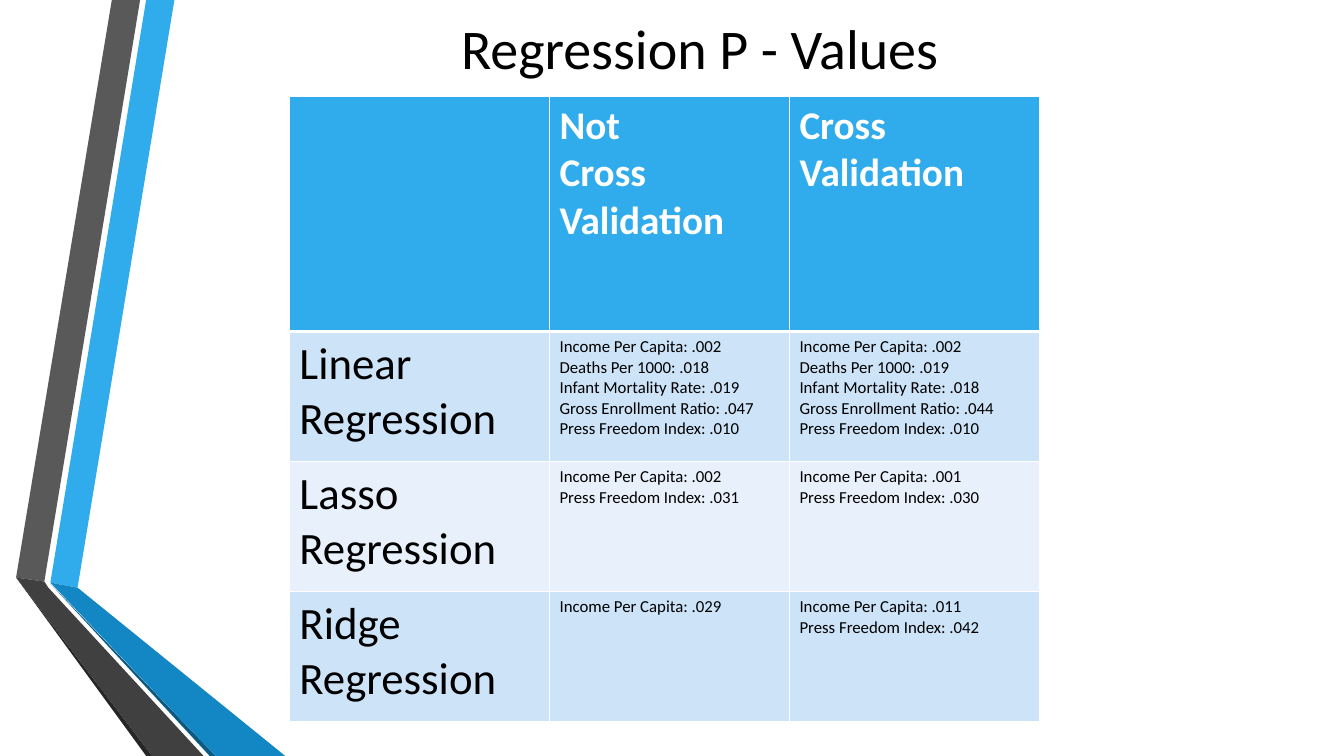
from dataclasses import dataclass

from lxml import etree
from pptx import Presentation
from pptx.dml.color import RGBColor
from pptx.enum import text
from pptx.oxml import ns
from pptx.util import Inches, Pt


@dataclass(frozen=True)
class Theme:
    font: str = "Calibri"
    white: str = "FFFFFF"
    black: str = "000000"
    blue: str = "30ACEC"
    deep: str = "1287C3"
    navy: str = "0C5A82"
    gray: str = "595959"
    dark: str = "404040"
    coal: str = "262626"
    bands: tuple = ("CDE3F8", "E8F1FB")
    title: int = 40
    head: int = 28
    label: int = 32
    body: int = 12


THEME = Theme()

RIBBONS = [
    (THEME.blue, [(0.5, 5.78), (0.77, 5.83), (1.73, 0), (1.45, 0)]),
    (THEME.gray, [(1.39, 0), (1.11, 0), (0.16, 5.73), (0.44, 5.77)]),
    (THEME.coal, [(0.16, 5.73), (1.45, 7.5), (1.51, 7.5)]),
    (THEME.navy, [(0.5, 5.79), (2.08, 7.5), (2.14, 7.5)]),
    (THEME.deep, [(0.5, 5.78), (2.14, 7.5), (2.83, 7.5), (0.77, 5.83)]),
    (THEME.dark, [(2.02, 7.5), (0.48, 5.83), (0.44, 5.77), (0.16, 5.73), (1.51, 7.5)]),
]

HEADS = [[], ["Not", "Cross Validation"], ["Cross", "Validation"]]

MODELS = [
    ("Linear Regression",
     ["Income Per Capita: .002", "Deaths Per 1000: .018",
      "Infant Mortality Rate: .019", "Gross Enrollment Ratio: .047",
      "Press Freedom Index: .010"],
     ["Income Per Capita: .002", "Deaths Per 1000: .019",
      "Infant Mortality Rate: .018", "Gross Enrollment Ratio: .044",
      "Press Freedom Index: .010"]),
    ("Lasso Regression",
     ["Income Per Capita: .002", "Press Freedom Index: .031"],
     ["Income Per Capita: .001", "Press Freedom Index: .030"]),
    ("Ridge Regression",
     ["Income Per Capita: .029"],
     ["Income Per Capita: .011", "Press Freedom Index: .042"]),
]


def write(frame, lines, size, color=THEME.black, bold=False, align=text.PP_ALIGN.LEFT):
    frame.word_wrap = True
    for i, line in enumerate(lines):
        para = frame.paragraphs[0] if i == 0 else frame.add_paragraph()
        para.alignment = align
        run = para.add_run()
        run.text = line
        run.font.name = THEME.font
        run.font.size = Pt(size)
        run.font.bold = bold
        run.font.color.rgb = RGBColor.from_string(color)


def add_ribbon(slide, color, points):
    start, *rest = [(Inches(x), Inches(y)) for x, y in points]
    pen = slide.shapes.build_freeform(*start)
    pen.add_line_segments(rest, close=True)
    shape = pen.convert_to_shape()
    shape.shadow.inherit = False
    shape.fill.solid()
    shape.fill.fore_color.rgb = RGBColor.from_string(color)
    shape.line.fill.background()


def add_title(slide, title):
    box = slide.shapes.add_textbox(Inches(1.46), Inches(-0.49), Inches(10.96), Inches(1.92))
    box.text_frame.vertical_anchor = text.MSO_ANCHOR.MIDDLE
    write(box.text_frame, [title], THEME.title, align=text.PP_ALIGN.CENTER)


def add_edge(cell, side, width):
    line = etree.SubElement(cell._tc.get_or_add_tcPr(), ns.qn(f"a:ln{side}"), w=str(Pt(width)))
    fill = etree.SubElement(line, ns.qn("a:solidFill"))
    etree.SubElement(fill, ns.qn("a:srgbClr"), val=THEME.white)


def fill_cell(cell, lines, fill, thick="", **style):
    for side in "LRTB":
        add_edge(cell, side, 3 if side == thick else 1)
    cell.fill.solid()
    cell.fill.fore_color.rgb = RGBColor.from_string(fill)
    write(cell.text_frame, lines, **style)


def add_grid(slide):
    widths, heights = [2.58, 2.38, 2.48], [2.33] + [1.29] * len(MODELS)
    table = slide.shapes.add_table(
        len(heights), len(widths), Inches(2.87), Inches(0.96),
        Inches(sum(widths)), Inches(sum(heights))).table
    table.first_row = table.horz_banding = False
    for col, width in zip(table.columns, widths):
        col.width = Inches(width)
    for row, height in zip(table.rows, heights):
        row.height = Inches(height)
    for c, lines in enumerate(HEADS):
        fill_cell(table.cell(0, c), lines, THEME.blue, thick="B",
                  size=THEME.head, color=THEME.white, bold=True)
    for r, (label, *values) in enumerate(MODELS, 1):
        band = THEME.bands[(r - 1) % 2]
        edge = "T" if r == 1 else ""
        fill_cell(table.cell(r, 0), [label], band, edge, size=THEME.label)
        for c, lines in enumerate(values, 1):
            fill_cell(table.cell(r, c), lines, band, edge, size=THEME.body)


def main():
    deck = Presentation()
    deck.slide_width, deck.slide_height = Inches(13.33), Inches(7.5)
    slide = deck.slides.add_slide(deck.slide_layouts[6])
    for color, points in RIBBONS:
        add_ribbon(slide, color, points)
    add_title(slide, "Regression P - Values")
    add_grid(slide)
    deck.save("out.pptx")


if __name__ == "__main__":
    main()
